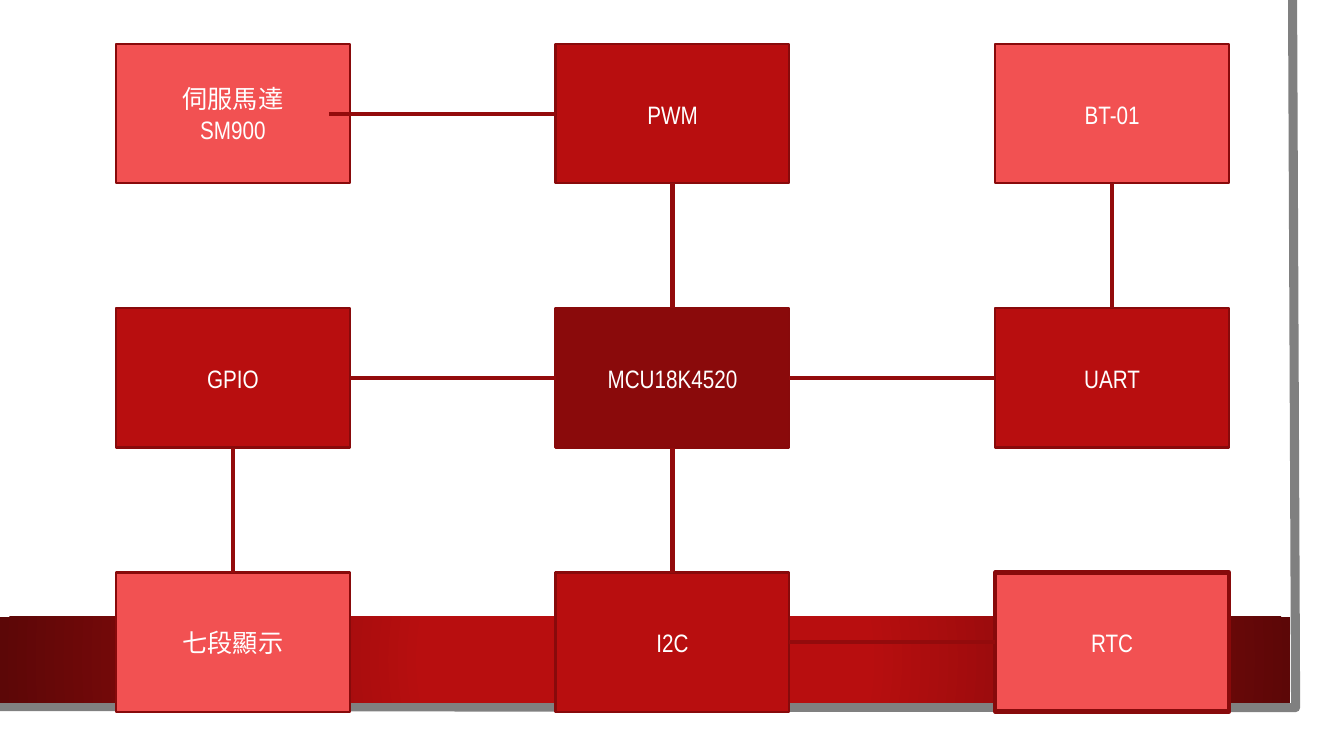
from dataclasses import dataclass
from enum import IntEnum

from lxml.etree import SubElement
from pptx import Presentation
from pptx.dml.color import RGBColor
from pptx.enum.shapes import MSO_CONNECTOR, MSO_SHAPE
from pptx.enum.text import MSO_ANCHOR, PP_ALIGN
from pptx.oxml.ns import qn
from pptx.shapes.autoshape import Shape
from pptx.slide import Slide
from pptx.util import Emu, Pt

EMU_PER_PX = 9144
BOX_WIDTH, BOX_HEIGHT = 232, 138
GRID_LEFT, GRID_TOP = 115, 44
COLUMN_STEP, ROW_STEP = 436, 262


@dataclass(frozen=True)
class Theme:
    paper: RGBColor = RGBColor(0xFF, 0xFF, 0xFF)
    text: RGBColor = RGBColor(0xFF, 0xFF, 0xFF)
    frame: RGBColor = RGBColor(0x80, 0x80, 0x80)
    controller: RGBColor = RGBColor(0x8A, 0x0A, 0x0B)
    interface: RGBColor = RGBColor(0xB8, 0x0E, 0x0F)
    device: RGBColor = RGBColor(0xF2, 0x51, 0x52)
    outline: RGBColor = RGBColor(0x88, 0x0A, 0x0B)
    link: RGBColor = RGBColor(0x93, 0x0B, 0x0C)
    band_edge: RGBColor = RGBColor(0x5C, 0x07, 0x07)
    font: str = "Arial Narrow"
    text_size: float = 18
    outline_width: float = 1.5
    heavy_width: float = 3
    frame_width: float = 6.5


THEME = Theme()


class Side(IntEnum):
    TOP = 0
    LEFT = 1
    BOTTOM = 2
    RIGHT = 3


@dataclass(frozen=True)
class Block:
    label: str
    column: int
    row: int
    fill: RGBColor
    outline_width: float = THEME.outline_width

    @property
    def left(self) -> int:
        return GRID_LEFT + self.column * COLUMN_STEP

    @property
    def top(self) -> int:
        return GRID_TOP + self.row * ROW_STEP

    def anchor(self, side: Side) -> tuple[int, int]:
        center_x, center_y = self.left + BOX_WIDTH // 2, self.top + BOX_HEIGHT // 2
        return {
            Side.TOP: (center_x, self.top),
            Side.LEFT: (self.left, center_y),
            Side.BOTTOM: (center_x, self.top + BOX_HEIGHT),
            Side.RIGHT: (self.left + BOX_WIDTH, center_y),
        }[side]


@dataclass(frozen=True)
class Link:
    start: Block
    start_side: Side
    end: Block
    end_side: Side
    overlap: int = 0


SERVO = Block("伺服馬達\nSM900", 0, 0, THEME.device)
PWM = Block("PWM", 1, 0, THEME.interface)
BLUETOOTH = Block("BT-01", 2, 0, THEME.device)
GPIO = Block("GPIO", 0, 1, THEME.interface)
CONTROLLER = Block("MCU18K4520", 1, 1, THEME.controller)
UART = Block("UART", 2, 1, THEME.interface)
DISPLAY = Block("七段顯示", 0, 2, THEME.device)
I2C = Block("I2C", 1, 2, THEME.interface)
CLOCK = Block("RTC", 2, 2, THEME.device, THEME.heavy_width)
BLOCKS = (SERVO, PWM, BLUETOOTH, GPIO, CONTROLLER, UART, DISPLAY, I2C, CLOCK)

LINKS = (
    Link(CONTROLLER, Side.TOP, PWM, Side.BOTTOM),
    Link(CONTROLLER, Side.RIGHT, UART, Side.LEFT),
    Link(CONTROLLER, Side.BOTTOM, I2C, Side.TOP),
    Link(CONTROLLER, Side.LEFT, GPIO, Side.RIGHT),
    Link(PWM, Side.LEFT, SERVO, Side.RIGHT, overlap=21),
    Link(GPIO, Side.BOTTOM, DISPLAY, Side.TOP),
    Link(I2C, Side.RIGHT, CLOCK, Side.LEFT),
    Link(UART, Side.TOP, BLUETOOTH, Side.BOTTOM),
)


def px(value: int) -> Emu:
    return Emu(value * EMU_PER_PX)


def add_rectangle(slide: Slide, left: int, top: int, width: int, height: int, fill: RGBColor) -> Shape:
    shape = slide.shapes.add_shape(MSO_SHAPE.RECTANGLE, px(left), px(top), px(width), px(height))
    shape.shadow.inherit = False
    shape.fill.solid()
    shape.fill.fore_color.rgb = fill
    shape.line.fill.background()
    return shape


def add_frame(slide: Slide) -> None:
    builder = slide.shapes.build_freeform(1282, 0, scale=EMU_PER_PX)
    builder.add_line_segments([(1285, 702), (-3, 701)], close=False)
    frame = builder.convert_to_shape()
    frame.shadow.inherit = False
    frame.fill.background()
    frame.line.color.rgb = THEME.frame
    frame.line.width = Pt(THEME.frame_width)


def add_band(slide: Slide) -> None:
    band = add_rectangle(slide, 0, 612, 1280, 85, THEME.interface)
    band.fill.gradient()
    stops = ((0.34, THEME.interface), (1.0, THEME.band_edge))
    for stop, (position, color) in zip(band.fill.gradient_stops, stops):
        stop.position = position
        stop.color.rgb = color
    gradient = band._element.spPr.find(qn("a:gradFill"))
    gradient.remove(gradient.find(qn("a:lin")))
    radial = SubElement(gradient, qn("a:path"), {"path": "circle"})
    SubElement(radial, qn("a:fillToRect"), {edge: "50000" for edge in "ltrb"})


def add_block(slide: Slide, block: Block) -> Shape:
    shape = add_rectangle(slide, block.left, block.top, BOX_WIDTH, BOX_HEIGHT, block.fill)
    shape.line.color.rgb = THEME.outline
    shape.line.width = Pt(block.outline_width)
    text_frame = shape.text_frame
    text_frame.word_wrap = True
    text_frame.vertical_anchor = MSO_ANCHOR.MIDDLE
    text_frame.text = block.label
    for paragraph in text_frame.paragraphs:
        paragraph.alignment = PP_ALIGN.CENTER
        paragraph.font.name = THEME.font
        paragraph.font.size = Pt(THEME.text_size)
        paragraph.font.color.rgb = THEME.text
    return shape


def add_link(slide: Slide, link: Link, shapes: dict[Block, Shape]) -> None:
    start_x, start_y = link.start.anchor(link.start_side)
    end_x, end_y = link.end.anchor(link.end_side)
    connector = slide.shapes.add_connector(
        MSO_CONNECTOR.STRAIGHT, px(start_x), px(start_y), px(end_x - link.overlap), px(end_y)
    )
    connector.begin_connect(shapes[link.start], link.start_side)
    if not link.overlap:
        connector.end_connect(shapes[link.end], link.end_side)
    connector.line.color.rgb = THEME.link
    connector.line.width = Pt(THEME.heavy_width)
    SubElement(connector._element.spPr, qn("a:effectLst"))


def main() -> None:
    presentation = Presentation()
    presentation.slide_width, presentation.slide_height = px(1333), px(750)
    slide = presentation.slides.add_slide(presentation.slide_layouts[6])
    add_rectangle(slide, 0, 0, 1310, 727, THEME.paper)
    add_frame(slide)
    add_band(slide)
    shapes = {block: add_block(slide, block) for block in BLOCKS}
    for link in LINKS:
        add_link(slide, link, shapes)
    presentation.save("out.pptx")


if __name__ == "__main__":
    main()
